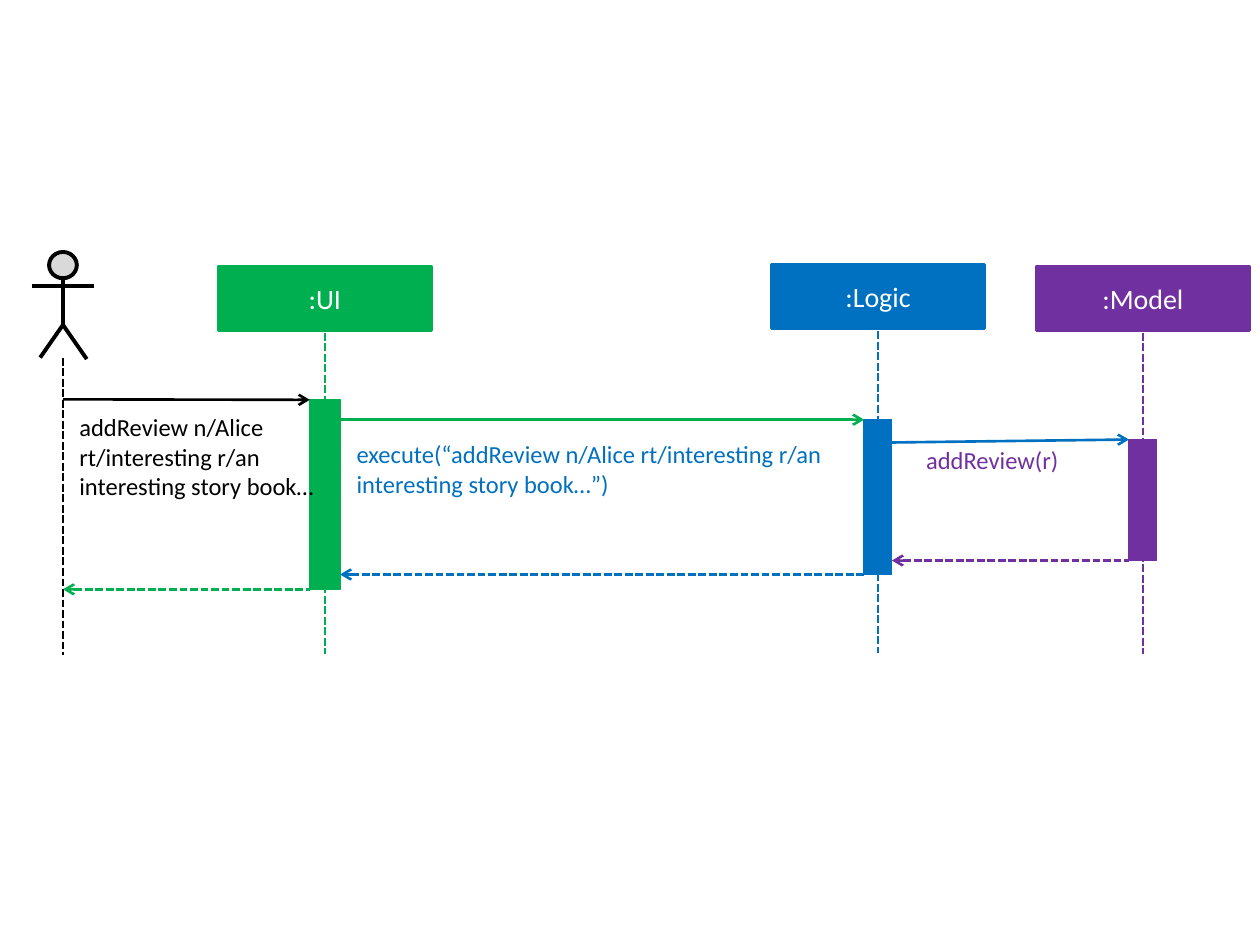
from dataclasses import dataclass

from lxml.etree import SubElement
from pptx import Presentation
from pptx.dml.color import RGBColor
from pptx.enum.dml import MSO_LINE_DASH_STYLE as Dash
from pptx.enum.shapes import MSO_CONNECTOR_TYPE as Conn, MSO_SHAPE as Shp
from pptx.enum.text import MSO_ANCHOR as Anchor, PP_ALIGN as Align
from pptx.oxml.ns import qn
from pptx.util import Cm, Pt

BLACK, WHITE, GREY = "000000", "FFFFFF", "D9D9D9"
GREEN, BLUE, PURPLE = "00B050", "0070C0", "7030A0"
BOX_W, BOX_H = 4.29, 1.3
LIFELINE_GAP, LIFELINE_LEN = 1.35, 6.48
ACTOR_X = 1.27


# Lengths below are in centimetres
@dataclass
class Participant:
    name: str
    color: str
    x: float  # centre of the lifeline
    top: float
    bar_top: float
    bar_bottom: float
    bar_w: float = 0.56

    @property
    def left(self) -> float:
        return self.x - self.bar_w / 2

    @property
    def right(self) -> float:
        return self.x + self.bar_w / 2


@dataclass
class Message:
    x1: float
    y1: float
    x2: float
    y2: float
    color: str
    reply: bool = False


@dataclass
class Label:
    text: str
    color: str
    x: float
    y: float
    w: float
    h: float


def rgb(color: str) -> RGBColor:
    return RGBColor.from_string(color)


def add_line(shapes, x1: float, y1: float, x2: float, y2: float, color: str,
             width: float = 1.5, dashed: bool = False, arrow: str = ""):
    ln = shapes.add_connector(Conn.STRAIGHT, Cm(x1), Cm(y1), Cm(x2), Cm(y2))
    ln.line.color.rgb = rgb(color)
    ln.line.width = Pt(width)
    if dashed:
        ln.line.dash_style = Dash.SQUARE_DOT
    if arrow:
        SubElement(ln.line._get_or_add_ln(), qn(f"a:{arrow}"), type="arrow")
    SubElement(ln._element.spPr, qn("a:effectLst"))
    return ln


def add_box(shapes, kind: Shp, x: float, y: float, w: float, h: float,
            fill: str, line: str, width: float):
    sp = shapes.add_shape(kind, Cm(x), Cm(y), Cm(w), Cm(h))
    sp.shadow.inherit = False
    sp.fill.solid()
    sp.fill.fore_color.rgb = rgb(fill)
    sp.line.color.rgb = rgb(line)
    sp.line.width = Pt(width)
    return sp


def add_text(tf, text: str, color: str, size: int, align: Align) -> None:
    tf.word_wrap = True
    p = tf.paragraphs[0]
    p.alignment = align
    r = p.add_run()
    r.text = text
    r.font.name = "Calibri"
    r.font.size = Pt(size)
    r.font.color.rgb = rgb(color)


def add_participant(shapes, part: Participant) -> None:
    box = add_box(shapes, Shp.RECTANGLE, part.x - BOX_W / 2, part.top,
                  BOX_W, BOX_H, part.color, part.color, 1.5)
    box.text_frame.vertical_anchor = Anchor.MIDDLE
    add_text(box.text_frame, part.name, WHITE, 16, Align.CENTER)
    start = part.top + LIFELINE_GAP
    add_line(shapes, part.x, start, part.x, start + LIFELINE_LEN,
             part.color, dashed=True)
    add_box(shapes, Shp.RECTANGLE, part.left, part.bar_top, part.bar_w,
            part.bar_bottom - part.bar_top, part.color, part.color, 0.75)


def add_actor(shapes, x: float) -> None:
    grp = shapes.add_group_shape().shapes
    add_box(grp, Shp.FLOWCHART_CONNECTOR, x - 0.28, 5.08, 0.56, 0.53,
            GREY, BLACK, 2.25)
    add_line(grp, x, 5.61, x, 6.58, BLACK, 2.25)
    fb = grp.build_freeform(Cm(x - 0.46), Cm(7.21))
    fb.add_line_segments([(Cm(x), Cm(6.55)), (Cm(x + 0.48), Cm(7.24))],
                         close=False)
    legs = fb.convert_to_shape()
    legs.shadow.inherit = False
    legs.fill.background()
    legs.line.color.rgb = rgb(BLACK)
    legs.line.width = Pt(2.25)
    add_line(grp, x - 0.63, 5.77, x + 0.63, 5.77, BLACK, 2.25)


def add_message(shapes, m: Message) -> None:
    add_line(shapes, m.x1, m.y1, m.x2, m.y2, m.color, dashed=m.reply,
             arrow="headEnd" if m.reply else "tailEnd")


def add_label(shapes, lb: Label) -> None:
    tf = shapes.add_textbox(Cm(lb.x), Cm(lb.y), Cm(lb.w), Cm(lb.h)).text_frame
    tf.margin_left = tf.margin_right = tf.margin_top = tf.margin_bottom = 0
    add_text(tf, lb.text, lb.color, 14, Align.LEFT)


UI = Participant(":UI", GREEN, 6.55, 5.36, 8.05, 11.88, 0.61)
LOGIC = Participant(":Logic", BLUE, 17.7, 5.33, 8.46, 11.58)
MODEL = Participant(":Model", PURPLE, 23.04, 5.36, 8.86, 11.3)

MESSAGES = [
    Message(ACTOR_X, 8.05, UI.left, 8.06, BLACK),
    Message(UI.right, LOGIC.bar_top, LOGIC.left, LOGIC.bar_top, GREEN),
    Message(LOGIC.right, 8.92, MODEL.left, MODEL.bar_top, BLUE),
    Message(LOGIC.right, MODEL.bar_bottom, MODEL.left, MODEL.bar_bottom, PURPLE, True),
    Message(UI.right, LOGIC.bar_bottom, LOGIC.left, LOGIC.bar_bottom, BLUE, True),
    Message(ACTOR_X, UI.bar_bottom, UI.left, UI.bar_bottom, GREEN, True),
]

LABELS = [
    Label("addReview n/Alice rt/interesting r/an interesting story book…",
          BLACK, 1.6, 8.31, 5.05, 1.8),
    Label("execute(“addReview n/Alice rt/interesting r/an interesting story book…”)",
          BLUE, 7.19, 8.86, 10.21, 1.19),
    Label("addReview(r)", PURPLE, 18.67, 8.97, 3.15, 0.61),
]


def main() -> None:
    prs = Presentation()
    prs.slide_width, prs.slide_height = Cm(25.4), Cm(19.05)
    shapes = prs.slides.add_slide(prs.slide_layouts[6]).shapes

    # Participants and the user
    add_participant(shapes, UI)
    add_actor(shapes, ACTOR_X)
    for part in (LOGIC, MODEL):
        add_participant(shapes, part)

    # Calls, replies and their labels
    for m in MESSAGES:
        add_message(shapes, m)
    for lb in LABELS:
        add_label(shapes, lb)
    add_line(shapes, ACTOR_X, 7.21, ACTOR_X, 13.21, BLACK, dashed=True)

    prs.save("out.pptx")


if __name__ == "__main__":
    main()
